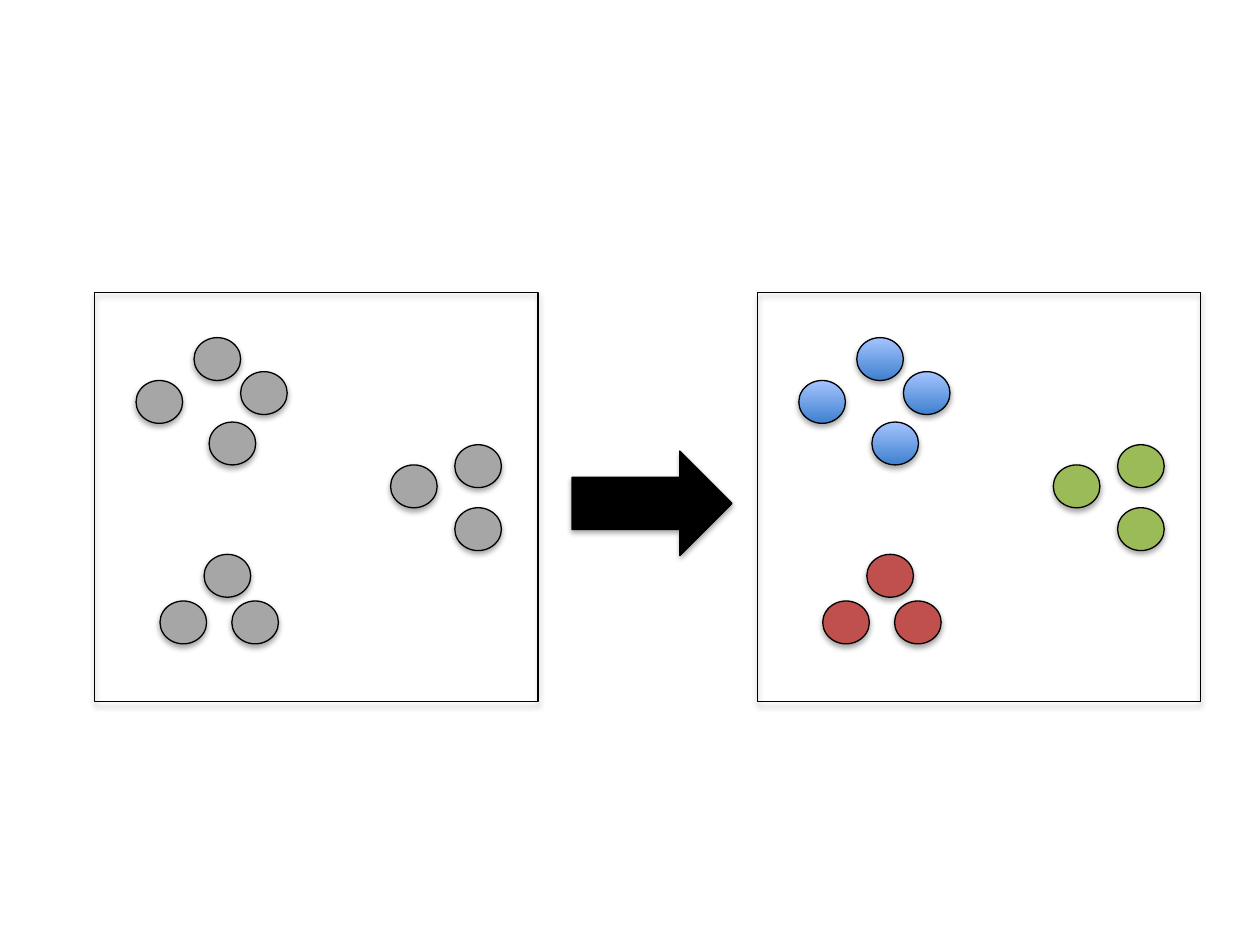
from pptx import Presentation
from pptx.dml.color import RGBColor
from pptx.enum.shapes import MSO_SHAPE
from pptx.oxml import parse_xml
from pptx.oxml.ns import nsdecls, qn
from pptx.util import Inches, Pt

OVAL, RECTANGLE, ARROW = MSO_SHAPE.OVAL, MSO_SHAPE.RECTANGLE, MSO_SHAPE.RIGHT_ARROW
BLACK = RGBColor(0x00, 0x00, 0x00)
GRAY = RGBColor(0xA6, 0xA6, 0xA6)
RED = RGBColor(0xC0, 0x50, 0x4D)
GREEN = RGBColor(0x9B, 0xBB, 0x59)
BLUE = (RGBColor(0x3F, 0x80, 0xCE), RGBColor(0xA4, 0xC4, 0xFF))  # bottom, top

# Dot positions by cluster, measured from the left panel's corner
CLUSTERS = [
    [(0.33, 0.70), (0.79, 0.36), (0.91, 1.03), (1.16, 0.63)],
    [(0.52, 2.45), (1.09, 2.45), (0.87, 2.08)],
    [(2.35, 1.37), (2.86, 1.71), (2.86, 1.21)],
]
# Left edge of each panel and the fill of each cluster in it
PANELS = [
    (0.75, (GRAY, GRAY, GRAY)),
    (6.01, (BLUE, RED, GREEN)),
]
PANEL_TOP, PANEL_WIDTH, PANEL_HEIGHT = 2.32, 3.52, 3.25
DOT_WIDTH, DOT_HEIGHT = 0.37, 0.34
ARROW_BOX = (4.54, 3.58, 1.27, 0.83)

SHADOW = (
    f'<a:outerShdw {nsdecls("a")} blurRad="40000" dist="23000" dir="5400000" '
    'rotWithShape="0"><a:srgbClr val="000000"><a:alpha val="35000"/>'
    '</a:srgbClr></a:outerShdw>'
)


def add_figure(slide, kind, box, fill=None):
    """Add an outlined, shadowed shape; fill is None, a colour or a colour pair."""
    shape = slide.shapes.add_shape(kind, *(Inches(length) for length in box))
    if fill is None:
        shape.fill.background()
    elif isinstance(fill, RGBColor):
        shape.fill.solid()
        shape.fill.fore_color.rgb = fill
    else:
        shape.fill.gradient()
        shape.fill.gradient_angle = 90
        for stop, color, position in zip(shape.fill.gradient_stops, fill, (0, 1)):
            stop.color.rgb = color
            stop.position = position
    shape.line.color.rgb = BLACK
    shape.line.width = Pt(0.75)
    shape.shadow.inherit = False
    shape.element.spPr.find(qn("a:effectLst")).append(parse_xml(SHADOW))
    return shape


presentation = Presentation()
presentation.slide_width, presentation.slide_height = Inches(10), Inches(7.5)
slide = presentation.slides.add_slide(presentation.slide_layouts[6])

# Arrow between the panels
add_figure(slide, ARROW, ARROW_BOX, BLACK)

# Panels with their clusters of dots
for panel_left, fills in PANELS:
    for dots, fill in zip(CLUSTERS, fills):
        for x, y in dots:
            box = (panel_left + x, PANEL_TOP + y, DOT_WIDTH, DOT_HEIGHT)
            add_figure(slide, OVAL, box, fill)
    add_figure(slide, RECTANGLE, (panel_left, PANEL_TOP, PANEL_WIDTH, PANEL_HEIGHT))

presentation.save("out.pptx")
